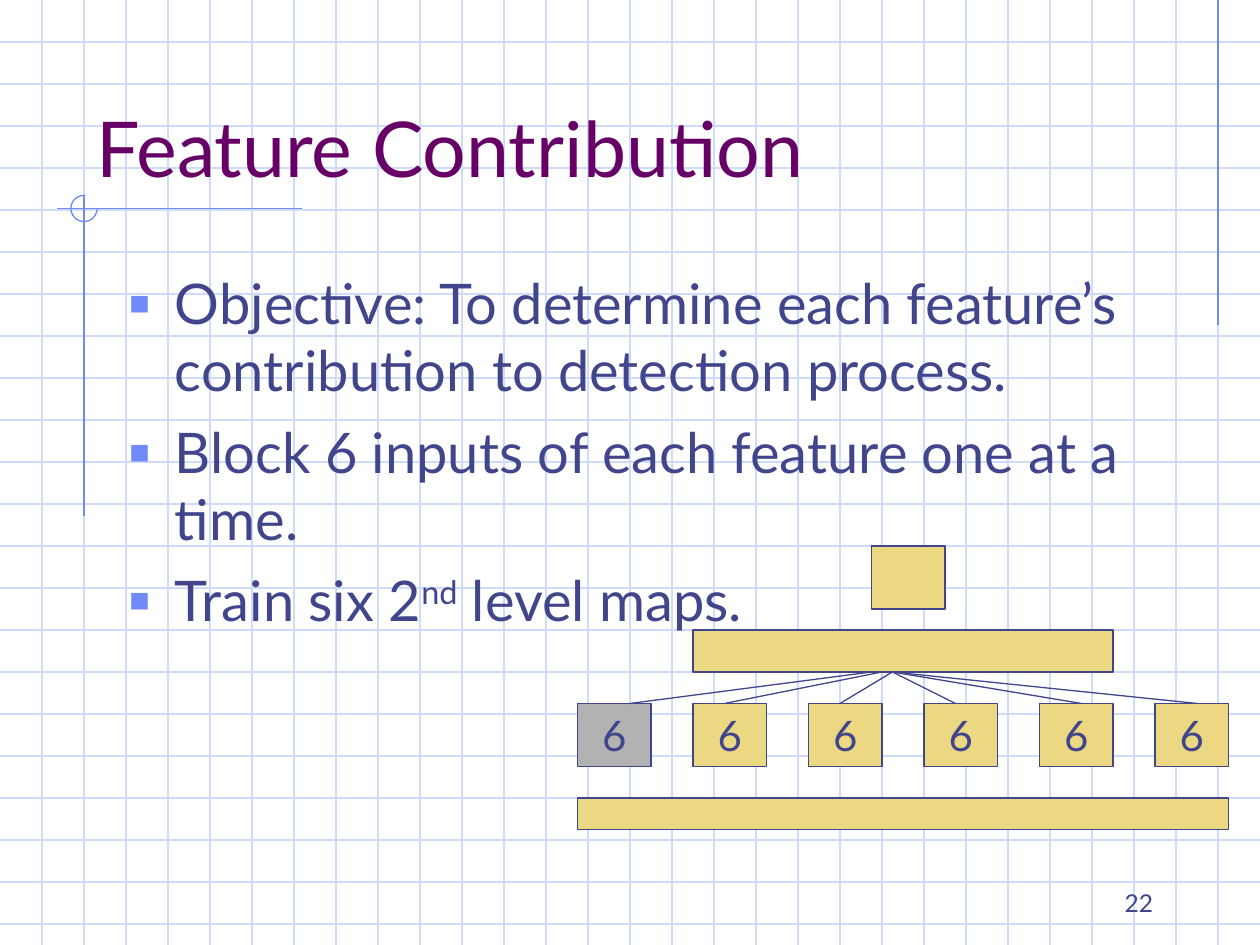
from dataclasses import dataclass

from lxml.etree import SubElement
from pptx import Presentation
from pptx.dml.color import RGBColor as Rgb
from pptx.enum.shapes import MSO_CONNECTOR as Connector, MSO_SHAPE as Shape
from pptx.enum.text import MSO_ANCHOR as Anchor, PP_ALIGN as Align
from pptx.oxml.ns import qn
from pptx.util import Cm, Pt

COLORS = {
    "grid": "CFDBFD",
    "accent": "6F89F7",
    "title": "660066",
    "ink": "40458C",
    "sand": "ECD882",
    "blocked": "B2B2B2",
}
FONT = "Lato"
# The layout unit is a quarter of a square of the background grid
SQUARE = 4
UNIT = 2.54 / 12
WIDTH, HEIGHT = 120, 90


@dataclass
class Area:
    left: float
    top: float
    width: float
    height: float

    def lengths(self) -> list[Cm]:
        return [units(n) for n in (self.left, self.top, self.width, self.height)]


@dataclass
class Line:
    x1: float
    y1: float
    x2: float
    y2: float


@dataclass
class Block:
    area: Area
    text: str = ""
    fill: str = "sand"


def units(count: float) -> Cm:
    return Cm(count * UNIT)


def color(name: str) -> Rgb:
    return Rgb.from_string(COLORS[name])


def add_line(page, line: Line, name: str) -> None:
    ends = [units(n) for n in (line.x1, line.y1, line.x2, line.y2)]
    connector = page.shapes.add_connector(Connector.STRAIGHT, *ends)
    connector.line.color.rgb = color(name)
    connector.line.width = Pt(0.75)
    SubElement(connector._element.spPr, qn("a:effectLst"))


def add_span(para, text: str, size: int, name: str = "ink", raised: bool = False) -> None:
    span = para.add_run()
    span.text = text
    span.font.name = FONT
    span.font.size = Pt(size)
    span.font.color.rgb = color(name)
    if raised:
        span._r.get_or_add_rPr().set("baseline", "30000")


def add_text_box(page, area: Area, anchor: Anchor):
    frame = page.shapes.add_textbox(*area.lengths()).text_frame
    frame.word_wrap = True
    frame.vertical_anchor = anchor
    return frame


def add_bullet(para) -> None:
    para.space_before = Pt(8)
    properties = para._p.get_or_add_pPr()
    properties.set("marL", str(Cm(0.95)))
    properties.set("indent", str(-Cm(0.95)))
    tint = SubElement(properties, qn("a:buClr"))
    SubElement(tint, qn("a:srgbClr"), val=COLORS["accent"])
    SubElement(properties, qn("a:buSzPct"), val="110000")
    SubElement(properties, qn("a:buFont"), typeface=FONT)
    SubElement(properties, qn("a:buChar"), char="▪")


def add_block(page, block: Block) -> None:
    box = page.shapes.add_shape(Shape.RECTANGLE, *block.area.lengths())
    box.shadow.inherit = False
    box.fill.solid()
    box.fill.fore_color.rgb = color(block.fill)
    box.line.color.rgb = color("ink")
    box.line.width = Pt(0.75)
    if block.text:
        frame = box.text_frame
        frame.word_wrap = False
        frame.vertical_anchor = Anchor.MIDDLE
        para = frame.paragraphs[0]
        para.alignment = Align.CENTER
        add_span(para, block.text, 24)


def draw_background(page) -> None:
    # Square grid
    for y in range(SQUARE, HEIGHT, SQUARE):
        add_line(page, Line(0, y, WIDTH, y), "grid")
    for x in range(SQUARE, WIDTH, SQUARE):
        add_line(page, Line(x, 0, x, HEIGHT), "grid")
    # Accent lines and the three-quarter ring where two of them cross
    for line in (
        Line(116, 0, 116, 31),
        Line(28.8, 19.86, 5.4, 19.86),
        Line(8, 18.6, 8, 49.1),
    ):
        add_line(page, line, "accent")
    ring = page.shapes.add_shape(Shape.ARC, *Area(6.75, 18.6, 2.5, 2.5).lengths())
    ring.shadow.inherit = False
    ring.adjustments[0] = 0
    ring.adjustments[1] = 162  # 270 degrees
    ring.fill.background()
    ring.line.color.rgb = color("accent")
    ring.line.width = Pt(0.75)


def draw_text(page) -> None:
    title = add_text_box(page, Area(8, 4, 102, 15), Anchor.BOTTOM)
    add_span(title.paragraphs[0], "Feature Contribution", 44, "title")

    # Each bullet is a list of (text, superscript) spans
    bullets = [
        [("Objective: To determine each feature’s contribution to detection process.", False)],
        [("Block 6 inputs of each feature one at a time.", False)],
        [("Train six 2", False), ("nd", True), (" level maps.", False)],
    ]
    body = add_text_box(page, Area(11, 25, 102, 54), Anchor.TOP)
    for index, spans in enumerate(bullets):
        para = body.add_paragraph() if index else body.paragraphs[0]
        add_bullet(para)
        for text, raised in spans:
            add_span(para, text, 32, raised=raised)


def draw_network(page) -> None:
    # Output map, then six feature inputs with the first one blocked
    add_block(page, Block(Area(83, 52, 7, 6)))
    for index in range(6):
        fill = "sand" if index else "blocked"
        add_block(page, Block(Area(55 + 11 * index, 67, 7, 6), "6", fill))
    # Second-level bar and its fan of links to the inputs
    add_block(page, Block(Area(66, 60, 40, 4)))
    for bar_x, input_x in ((83, 60), (84, 69), (85, 80), (85, 91), (85, 103), (85, 114)):
        add_line(page, Line(bar_x, 64, input_x, 67), "ink")
    # Base bar
    add_block(page, Block(Area(55, 76, 62, 3)))


def draw_page_number(page) -> None:
    frame = add_text_box(page, Area(86, 82, 25, 6), Anchor.BOTTOM)
    para = frame.paragraphs[0]
    para.alignment = Align.RIGHT
    add_span(para, "22", 14)


def main() -> None:
    deck = Presentation()
    deck.slide_width, deck.slide_height = units(WIDTH), units(HEIGHT)
    page = deck.slides.add_slide(deck.slide_layouts[6])
    draw_background(page)
    draw_text(page)
    draw_network(page)
    draw_page_number(page)
    deck.save("out.pptx")


if __name__ == "__main__":
    main()
